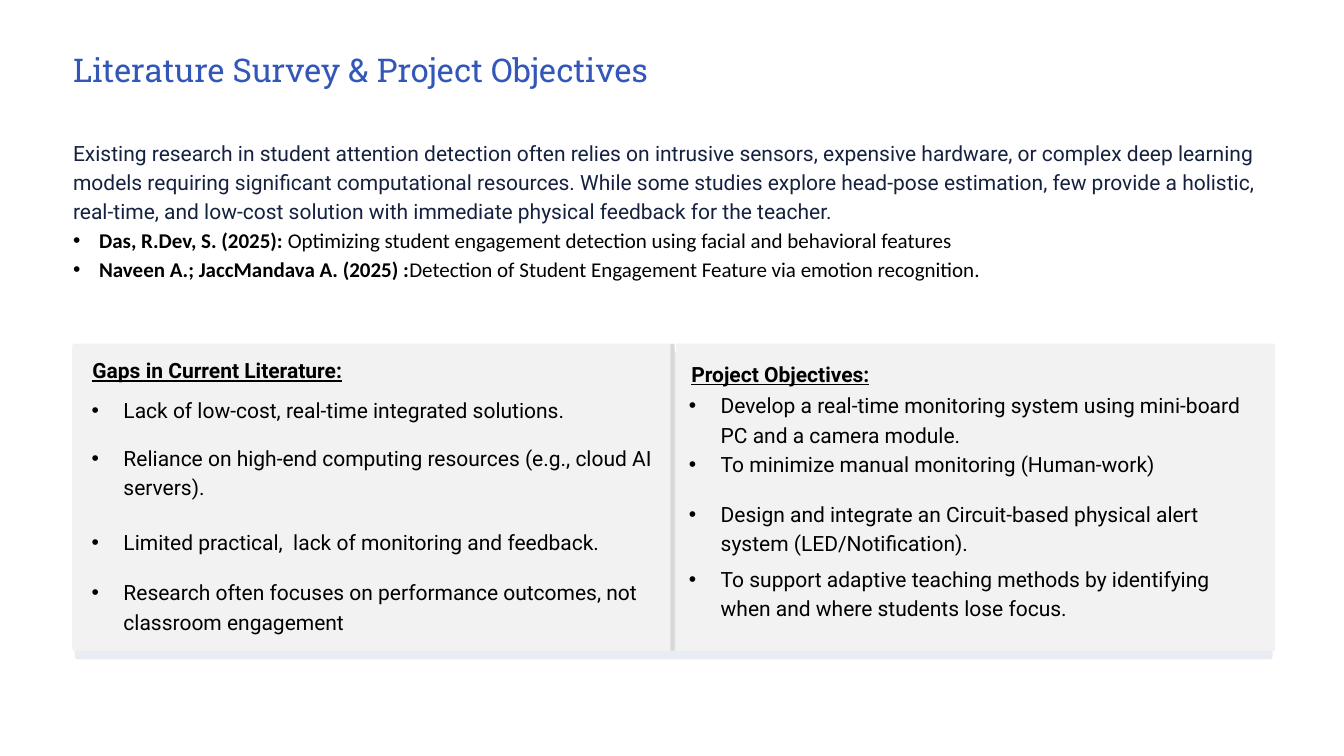
from lxml import etree
from pptx import Presentation
from pptx.dml.color import RGBColor
from pptx.enum import shapes, text
from pptx.oxml import ns
from pptx.util import Inches, Pt

COLORS = {"title": "3257B8", "intro": "15213F", "text": "000000",
          "shade": "E9ECF2", "card": "F2F2F2", "divider": "D8D8D8"}
INTRO = ("Existing research in student attention detection often relies on intrusive "
         "sensors, expensive hardware, or complex deep learning models requiring "
         "significant computational resources. While some studies explore head-pose "
         "estimation, few provide a holistic, real-time, and low-cost solution with "
         "immediate physical feedback for the teacher.")
PAPERS = [
    ("Das, R.Dev, S. (2025): ",
     "Optimizing student engagement detection using facial and behavioral features"),
    ("Naveen A.; JaccMandava A. (2025) :",
     "Detection of Student Engagement Feature via emotion recognition."),
]
# Each item: space before in points, wording
GAPS = [
    (0, "Lack of low-cost, real-time integrated solutions."),
    (16, "Reliance on high-end computing resources (e.g., cloud AI servers)."),
    (22, "Limited practical,  lack of monitoring and feedback."),
    (18, "Research often focuses on performance outcomes, not classroom engagement"),
]
OBJECTIVES = [
    (0, "Develop a real-time monitoring system using mini-board PC and a camera module."),
    (0, "To minimize manual monitoring (Human-work)"),
    (18, "Design and integrate an Circuit-based physical alert system (LED/Notification)."),
    (6, "To support adaptive teaching methods by identifying when and where students "
        "lose focus."),
]


def place(sp, left, top, width, height):
    """Position a text holder, clear its insets and return its text frame."""
    sp.left, sp.top = Inches(left), Inches(top)
    sp.width, sp.height = Inches(width), Inches(height)
    tf = sp.text_frame
    tf.margin_left = tf.margin_right = tf.margin_top = tf.margin_bottom = 0
    tf.word_wrap = True
    tf.auto_size = text.MSO_AUTO_SIZE.NONE
    tf.vertical_anchor = text.MSO_ANCHOR.TOP
    return tf


def format_paragraph(p, spacing=25, before=0, indent=0):
    """Set spacing; a positive indent in inches also gives a bullet."""
    pPr = p._p.get_or_add_pPr()
    pPr.set("marL", str(Inches(indent)))
    pPr.set("indent", str(-Inches(indent)))
    if indent:
        etree.SubElement(pPr, ns.qn("a:buFont"), typeface="Arial")
        etree.SubElement(pPr, ns.qn("a:buChar"), char="•")
    else:
        etree.SubElement(pPr, ns.qn("a:buNone"))
    p.alignment = text.PP_ALIGN.LEFT
    p.line_spacing = Pt(spacing)
    p.space_before = Pt(before)
    p.space_after = Pt(0)


def add_run(p, words, color="text", size=18, font="Roboto", bold=False, underline=False):
    r = p.add_run()
    r.text = words
    r.font.name, r.font.size = font, Pt(size)
    r.font.bold, r.font.underline = bold, underline
    r.font.color.rgb = RGBColor.from_string(COLORS[color])


def add_panel(s, kind, color, left, top, width, height, corner=None):
    sp = s.shapes.add_shape(kind, Inches(left), Inches(top), Inches(width), Inches(height))
    sp.shadow.inherit = False
    sp.fill.solid()
    sp.fill.fore_color.rgb = RGBColor.from_string(COLORS[color])
    sp.line.fill.background()
    if corner is not None:
        sp.adjustments[0] = corner


def fill_heading(sp, words, left, top):
    p = place(sp, left, top, 6.7, 0.43).paragraphs[0]
    format_paragraph(p, spacing=31)
    add_run(p, words, bold=True, underline=True)


def fill_list(sp, items, left, top):
    tf = place(sp, left, top, 6.7, 2.9)
    for i, (before, words) in enumerate(items):
        p = tf.add_paragraph() if i else tf.paragraphs[0]
        format_paragraph(p, before=before, indent=0.38)
        add_run(p, words)


def add_survey(s):
    tf = place(s.shapes.add_textbox(0, 0, 0, 0), 0.87, 1.62, 14.26, 1.75)
    format_paragraph(tf.paragraphs[0])
    add_run(tf.paragraphs[0], INTRO, "intro")
    for authors, topic in PAPERS:
        p = tf.add_paragraph()
        format_paragraph(p, indent=0.31)
        add_run(p, authors, font="Calibri", bold=True)
        add_run(p, topic, font="Calibri")


def main():
    prs = Presentation()
    prs.slide_width, prs.slide_height = Inches(16), Inches(9)
    s = prs.slides.add_slide(prs.slide_layouts.get_by_name("Comparison"))
    title, *columns = list(s.placeholders)

    p = place(title, 0.87, 0.39, 9.55, 0.68).paragraphs[0]
    format_paragraph(p, spacing=48.5)
    add_run(p, "Literature Survey & Project Objectives", "title", 28, "Roboto Slab")
    add_survey(s)

    rounded = shapes.MSO_SHAPE.ROUNDED_RECTANGLE
    add_panel(s, rounded, "shade", 0.89, 4.19, 14.26, 3.66, 0.01)
    add_panel(s, rounded, "card", 0.86, 4.09, 7.13, 3.66, 0.01)
    add_panel(s, shapes.MSO_SHAPE.RECTANGLE, "card", 8.05, 4.09, 7.13, 3.66)
    add_panel(s, rounded, "divider", 7.98, 4.09, 0.05, 3.66, 0.5)

    # Bring the column text in front of the panels
    for sp in columns:
        s.shapes.element.append(sp.element)
    gaps_head, gaps_list, goals_head, goals_list = columns
    fill_heading(gaps_head, "Gaps in Current Literature:", 1.1, 4.13)
    fill_list(gaps_list, GAPS, 1.09, 4.69)
    fill_heading(goals_head, "Project Objectives:", 8.23, 4.17)
    fill_list(goals_list, OBJECTIVES, 8.2, 4.63)
    prs.save("out.pptx")


if __name__ == "__main__":
    main()
